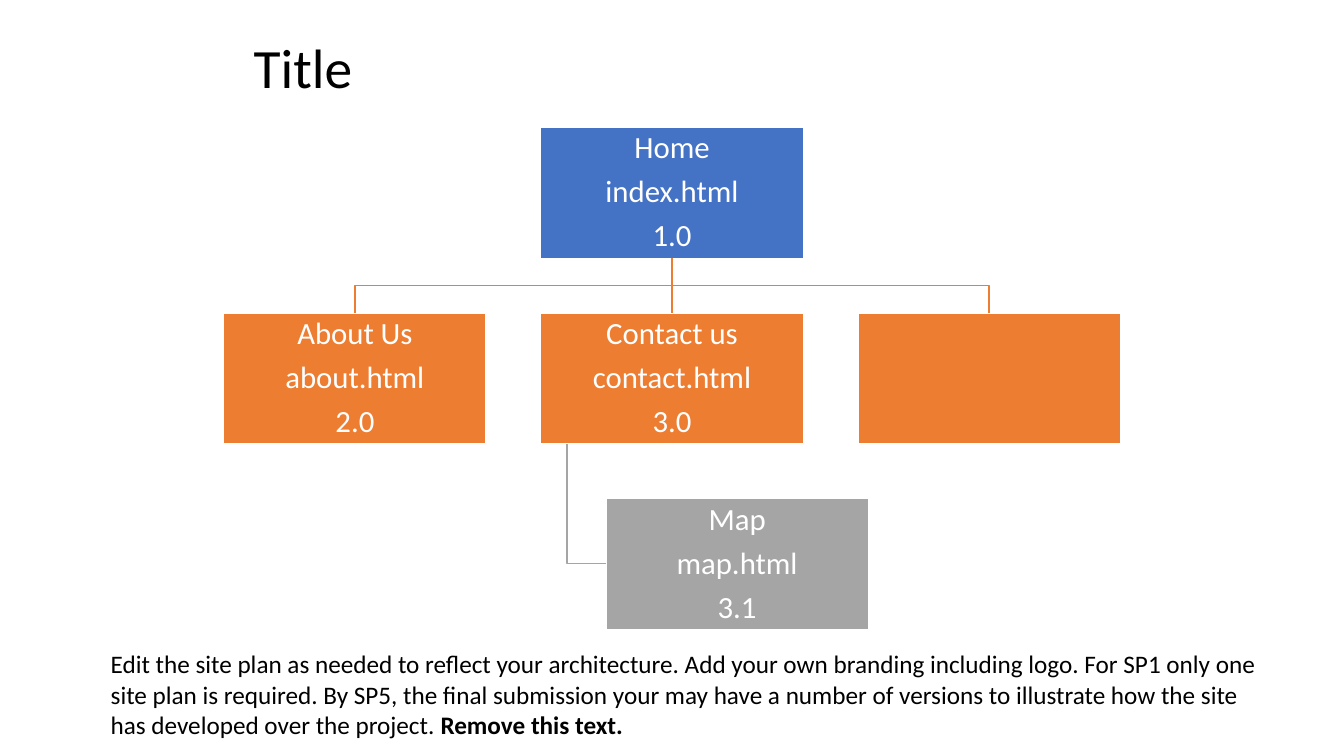
import pptx
import pptx.dml.color
import pptx.enum.shapes
import pptx.enum.text
import pptx.oxml
import pptx.oxml.ns
import pptx.util
from dataclasses import dataclass

PX = 9525  # EMU per px, at 96 px to the inch
Pt = pptx.util.Pt


@dataclass(frozen=True)
class Theme:
    font: str = "Calibri"
    text: str = "000000"
    paper: str = "FFFFFF"
    home: str = "4472C4"
    section: str = "ED7D31"
    subpage: str = "A5A5A5"
    title_size: float = 39.6
    box_size: float = 22
    note_size: float = 18
    line_width: float = 1


THEME = Theme()
BOX_W, BOX_H, GAP = 250, 125, 52
SECTIONS = [
    ["About Us", "about.html", "2.0"],
    ["Contact us", "contact.html", "3.0"],
    [],
]
NOTE = (
    "Edit the site plan as needed to reflect your architecture. Add your own "
    "branding including logo. For SP1 only one site plan is required. By SP5, "
    "the final submission your may have a number of versions to illustrate how "
    "the site has developed over the project. "
)


def emu(*lengths):
    return [pptx.util.Emu(n * PX) for n in lengths]


def rgb(color):
    return pptx.dml.color.RGBColor.from_string(color)


def set_all(target, values):
    for name, value in values.items():
        setattr(target, name, value)


def set_font(r, size, color, bold=False):
    set_all(r.font, {"name": THEME.font, "size": Pt(size), "bold": bold})
    r.font.color.rgb = rgb(color)


def set_line(shape, color):
    shape.line.color.rgb = rgb(color)
    shape.line.width = Pt(THEME.line_width)


def add_title(s, box, text):
    sp = s.shapes.title
    set_all(sp, dict(zip(("left", "top", "width", "height"), emu(*box))))
    tf = sp.text_frame
    set_all(tf, {
        "auto_size": pptx.enum.text.MSO_AUTO_SIZE.NONE,
        "vertical_anchor": pptx.enum.text.MSO_ANCHOR.MIDDLE,
        "word_wrap": True,
    })
    p = tf.paragraphs[0]
    set_all(p, {"alignment": pptx.enum.text.PP_ALIGN.LEFT, "line_spacing": 0.9})
    r = p.add_run()
    r.text = text
    set_font(r, THEME.title_size, THEME.text)


def add_page(s, x, y, color, lines):
    """Add one page of the site as a box with a paragraph for each line."""
    sp = s.shapes.add_shape(
        pptx.enum.shapes.MSO_SHAPE.RECTANGLE, *emu(x, y, BOX_W, BOX_H))
    sp.shadow.inherit = False
    sp.fill.solid()
    sp.fill.fore_color.rgb = rgb(color)
    set_line(sp, THEME.paper)
    tf = sp.text_frame
    margins = ("margin_left", "margin_top", "margin_right", "margin_bottom")
    set_all(tf, dict.fromkeys(margins, emu(2)[0]))
    set_all(tf, {
        "vertical_anchor": pptx.enum.text.MSO_ANCHOR.MIDDLE,
        "word_wrap": True,
    })
    for i, line in enumerate(lines):
        p = tf.add_paragraph() if i else tf.paragraphs[0]
        set_all(p, {
            "alignment": pptx.enum.text.PP_ALIGN.CENTER,
            "line_spacing": 0.9,
            "space_after": Pt(7.5),
        })
        r = p.add_run()
        r.text = line
        set_font(r, THEME.box_size, THEME.paper)
    return sp


def add_bent_line(s, color, points):
    fb = s.shapes.build_freeform(*points[0], scale=PX)
    fb.add_line_segments(points[1:], close=False)
    sp = fb.convert_to_shape()
    sp.shadow.inherit = False
    sp.fill.background()
    set_line(sp, color)


def add_straight_line(s, color, upper, lower):
    cx = s.shapes.add_connector(
        pptx.enum.shapes.MSO_CONNECTOR.STRAIGHT, 0, 0, 0, 0)
    cx.begin_connect(upper, 2)
    cx.end_connect(lower, 0)
    set_line(cx, color)
    cx._element.spPr.append(
        pptx.oxml.parse_xml("<a:effectLst %s/>" % pptx.oxml.ns.nsdecls("a")))


def add_site_plan(s, left, top):
    xs = [left + i * (BOX_W + GAP) for i in range(len(SECTIONS))]
    ys = [top + i * (BOX_H + GAP) for i in range(3)]
    middle = xs[1]
    map_x = middle + BOX_W // 4

    home = add_page(s, middle, ys[0], THEME.home, ["Home", "index.html", "1.0"])
    sections = [add_page(s, x, ys[1], THEME.section, lines)
                for x, lines in zip(xs, SECTIONS)]
    add_page(s, map_x, ys[2], THEME.subpage, ["Map", "map.html", "3.1"])

    trunk, fork = middle + BOX_W // 2, ys[1] - GAP // 2
    for x in (xs[0], xs[2]):
        end = x + BOX_W // 2
        add_bent_line(s, THEME.section, [
            (trunk, ys[0] + BOX_H), (trunk, fork), (end, fork), (end, ys[1])])
    add_straight_line(s, THEME.section, home, sections[1])

    drop, map_mid = middle + BOX_W // 10, ys[2] + BOX_H // 2
    add_bent_line(s, THEME.subpage, [
        (drop, ys[1] + BOX_H), (drop, map_mid), (map_x, map_mid)])


def add_note(s, box):
    tf = s.shapes.add_textbox(*emu(*box)).text_frame
    tf.word_wrap = True
    p = tf.paragraphs[0]
    for text, bold in ((NOTE, False), ("Remove this text.", True)):
        r = p.add_run()
        r.text = text
        set_font(r, THEME.note_size, THEME.text, bold)


def main():
    prs = pptx.Presentation()
    prs.slide_width, prs.slide_height = emu(1280, 720)
    s = prs.slides.add_slide(prs.slide_layouts.get_by_name("Title Only"))
    add_title(s, (232, 38, 959, 58), "Title")
    add_site_plan(s, 213, 121)
    add_note(s, (96, 613, 1116, 97))
    prs.save("out.pptx")


if __name__ == "__main__":
    main()
